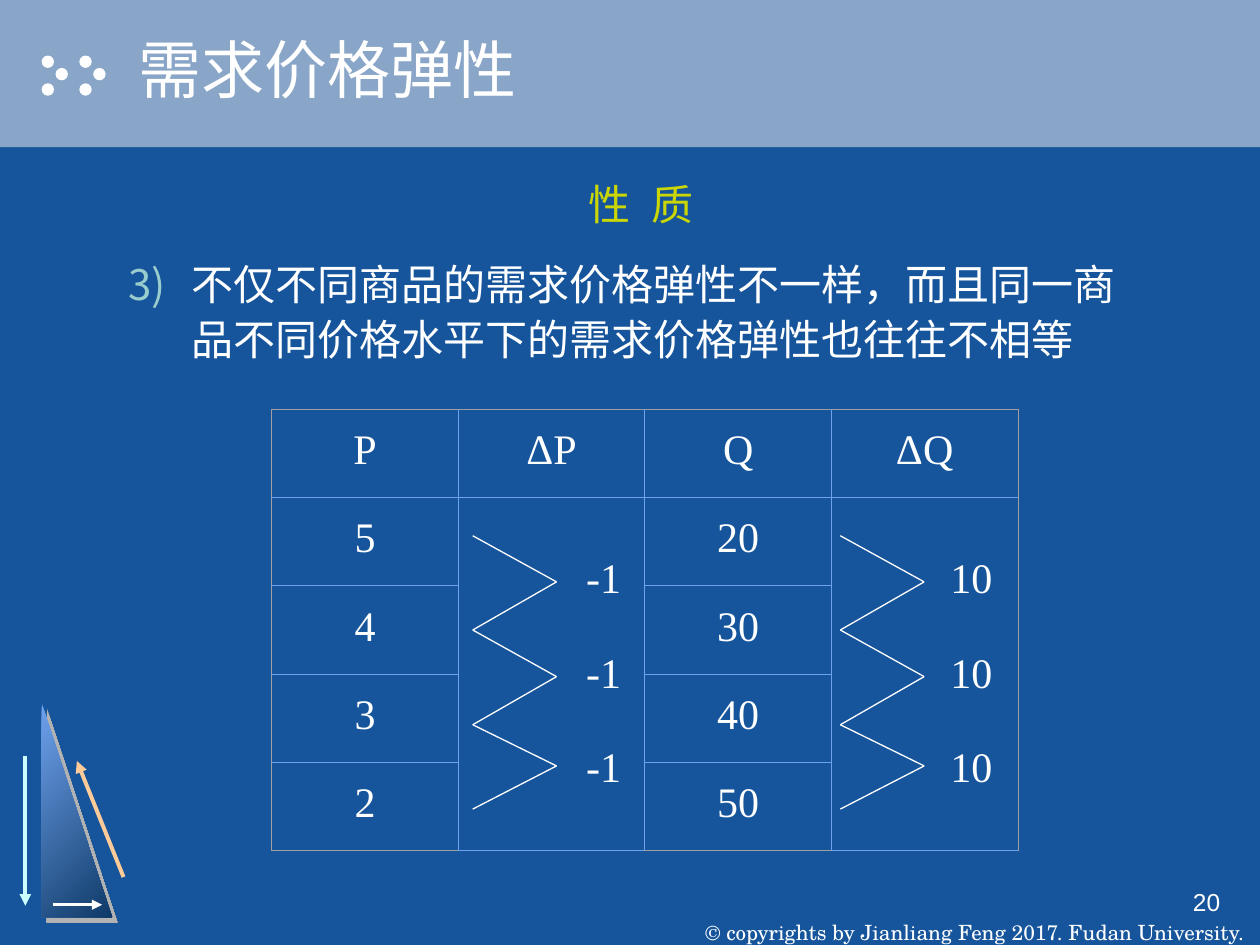
from itertools import pairwise

from lxml.etree import SubElement
from pptx import Presentation
from pptx.dml.color import RGBColor
from pptx.enum.lang import MSO_LANGUAGE_ID as Language
from pptx.enum.shapes import MSO_CONNECTOR as Connector, MSO_SHAPE as Shape
from pptx.enum.text import MSO_ANCHOR as Anchor, MSO_AUTO_SIZE as AutoSize, PP_ALIGN as Align
from pptx.oxml.ns import qn
from pptx.util import Cm, Pt

WHITE = "FFFFFF"
GRID_COLOR, FRAME_COLOR = "6FA2ED", "A0A0A0"
SERIF = "Times New Roman"
CHINESE = "Noto Sans CJK SC"


def rgb(value):
    return RGBColor.from_string(value)


def add_shadow(effects, color, distance):
    shadow = SubElement(effects, qn("a:outerShdw"), dist=str(Pt(distance)), dir="2700000",
                        algn="ctr", rotWithShape="0")
    SubElement(shadow, qn("a:srgbClr"), val=color)


def format_runs(paragraph, size, font_name, color=WHITE):
    for run in paragraph.runs:
        run.font.size, run.font.name = Pt(size), font_name
        run.font.color.rgb = rgb(color)


def format_chinese_runs(paragraph, size, font_name, color=WHITE):
    format_runs(paragraph, size, font_name, color)
    for run in paragraph.runs:
        run.font.language_id = Language.SIMPLIFIED_CHINESE
        properties = run._r.get_or_add_rPr()
        east_asian = SubElement(properties, qn("a:ea"), typeface=CHINESE)
        properties.find(qn("a:latin")).addnext(east_asian)


def set_list_indent(paragraph, number=None):
    """Hang the paragraph; give it an automatic number when one is passed."""
    properties = paragraph._p.get_or_add_pPr()
    properties.set("marL", str(Cm(1.27)))
    properties.set("indent", str(-Cm(1.27)))
    if number is None:
        SubElement(properties, qn("a:buNone"))
        return
    bullet_color = SubElement(properties, qn("a:buClr"))
    SubElement(bullet_color, qn("a:srgbClr"), val="99CCCC")
    SubElement(properties, qn("a:buFont"), typeface=CHINESE)
    SubElement(properties, qn("a:buAutoNum"), type="arabicParenR", startAt=str(number))


def set_borders(cell, colors):
    """Colours come in the order left, right, top, bottom."""
    properties = cell._tc.get_or_add_tcPr()
    for side, color in zip(("lnL", "lnR", "lnT", "lnB"), colors):
        line = SubElement(properties, qn(f"a:{side}"), w=str(Pt(0.5)))
        fill = SubElement(line, qn("a:solidFill"))
        SubElement(fill, qn("a:srgbClr"), val=color)


class SlideBuilder:
    """Holds the current slide and its shared style."""

    def __init__(self, presentation, background):
        self.slide = presentation.slides.add_slide(presentation.slide_layouts[1])
        self.shapes = self.slide.shapes
        fill = self.slide.background.fill
        fill.solid()
        fill.fore_color.rgb = rgb(background)

    def shape(self, kind, left, top, width, height, color):
        shape = self.shapes.add_shape(kind, Cm(left), Cm(top), Cm(width), Cm(height))
        shape.shadow.inherit = False
        shape.fill.solid()
        shape.fill.fore_color.rgb = rgb(color)
        shape.line.fill.background()
        return shape

    def line(self, start, end, color=WHITE, width=0.75, arrow=False):
        connector = self.shapes.add_connector(Connector.STRAIGHT, *map(Cm, start + end))
        connector.line.color.rgb = rgb(color)
        connector.line.width = Pt(width)
        if arrow:
            SubElement(connector.line._get_or_add_ln(), qn("a:tailEnd"), type="triangle")
        SubElement(connector._element.spPr, qn("a:effectLst"))

    def text(self, text, left, top, width, height, size, font_name, align=Align.CENTER):
        box = self.shapes.add_textbox(Cm(left), Cm(top), Cm(width), Cm(height))
        frame = box.text_frame
        frame.text = text
        frame.word_wrap = True
        frame.paragraphs[0].alignment = align
        format_runs(frame.paragraphs[0], size, font_name)
        return frame

    def placeholder(self, index, text, left, top, width, height, anchor):
        """Fill and place a placeholder, in front of what is drawn so far."""
        shape = self.slide.placeholders[index]
        shape.left, shape.top, shape.width, shape.height = map(Cm, (left, top, width, height))
        self.shapes._spTree.append(shape._element)
        frame = shape.text_frame
        frame.text = text
        frame.auto_size = AutoSize.NONE
        frame.word_wrap = True
        frame.vertical_anchor = anchor
        return frame.paragraphs

    def title(self, text, *place):
        paragraph = self.placeholder(0, text, *place, Anchor.MIDDLE)[0]
        paragraph.alignment = Align.LEFT
        format_chinese_runs(paragraph, 36, CHINESE)
        properties = paragraph.runs[0]._r.get_or_add_rPr()
        effects = SubElement(properties, qn("a:effectLst"))
        properties.find(qn("a:solidFill")).addnext(effects)
        add_shadow(effects, "000000", 2)

    def body(self, heading, item, number, *place):
        first, second = self.placeholder(1, f"{heading}\n{item}", *place, Anchor.TOP)
        set_list_indent(first)
        set_list_indent(second, number)
        first.alignment, second.alignment = Align.CENTER, Align.LEFT
        first.space_before, second.space_before = Pt(0), Pt(13.5)
        for paragraph, color in ((first, "CAD704"), (second, WHITE)):
            paragraph.line_spacing = 1.1
            format_chinese_runs(paragraph, 24, "Arial", color)
        first.runs[0]._r.get_or_add_rPr().set("spc", "330")

    def table(self, rows, left, top, column_width, row_height, merged_columns):
        row_count, column_count = len(rows), len(rows[0])
        table = self.shapes.add_table(
            row_count, column_count, Cm(left), Cm(top),
            Cm(column_width * column_count), Cm(row_height * row_count)).table
        table.first_row = table.horz_banding = False
        for column in table.columns:
            column.width = Cm(column_width)
        for r, row in enumerate(rows):
            for c, value in enumerate(row):
                cell = table.cell(r, c)
                edges = (c == 0, c == column_count - 1, r == 0, r == row_count - 1)
                set_borders(cell, [FRAME_COLOR if edge else GRID_COLOR for edge in edges])
                cell.fill.background()
                cell.vertical_anchor = Anchor.MIDDLE
                cell.text_frame.text = value
                paragraph = cell.text_frame.paragraphs[0]
                paragraph.alignment = Align.CENTER
                paragraph.line_spacing = 0.8
                format_runs(paragraph, 24, SERIF)
        for c in merged_columns:
            table.cell(1, c).merge(table.cell(row_count - 1, c))

    def differences(self, left, label):
        """Zigzag between the table rows, with the change beside each tip."""
        heights = (10.8, 11.73, 12.7, 13.64, 14.61, 15.44, 16.31)
        points = [(left + 1.69 * (i % 2), y) for i, y in enumerate(heights)]
        for start, end in pairwise(points):
            self.line(start, end)
        for i in range(3):
            self.text(label, left + 1.37, 11 + 1.9 * i, 2.54, 1.27, 24, SERIF)


def main():
    presentation = Presentation()
    presentation.slide_width, presentation.slide_height = Cm(25.4), Cm(19.05)
    builder = SlideBuilder(presentation, "16559B")

    builder.shape(Shape.RECTANGLE, 0, 0, 25.4, 2.97, "89A5C7")
    for group_left in (0.84, 1.6):
        for dx, top in ((0, 1.12), (0.28, 1.37), (0, 1.68)):
            builder.shape(Shape.OVAL, group_left + dx, top, 0.25, 0.25, WHITE)

    triangle = builder.shape(Shape.RIGHT_TRIANGLE, 0.84, 14.17, 1.42, 4.32, "6FA2ED")
    triangle.fill.gradient()
    triangle.fill.gradient_angle = 315
    for stop, color, position in zip(triangle.fill.gradient_stops, ("6FA2ED", "0F3A68"), (0, 1)):
        stop.color.rgb = rgb(color)
        stop.position = position
    add_shadow(triangle._element.spPr.find(qn("a:effectLst")), "B2B2B2", 4.2)
    builder.line((0.51, 15.24), (0.51, 18.26), "CCFFFF", 2.25, arrow=True)
    builder.line((2.49, 17.68), (1.55, 15.34), "FFCC99", 2.25, arrow=True)
    builder.line((1.07, 18.24), (2.06, 18.24), WHITE, 1.5, arrow=True)

    copyright_frame = builder.text("© copyrights by Jianliang Feng 2017. Fudan University.",
                                   13.84, 17.78, 11.63, 1.27, 12, "TeX Gyre Schola")
    copyright_frame.word_wrap = False
    copyright_frame.vertical_anchor = Anchor.BOTTOM
    copyright_frame.margin_top = copyright_frame.margin_bottom = 0

    builder.title("需求价格弹性", 2.54, 0, 22.86, 2.74)
    builder.body("性 质", "不仅不同商品的需求价格弹性不一样，而且同一商品不同价格水平下的需求价格弹性也往往不相等",
                 3, 2.34, 3.38, 21.16, 4.45)

    rows = [("P", "ΔP", "Q", "ΔQ"), ("5", "", "20", ""), ("4", "", "30", ""),
            ("3", "", "40", ""), ("2", "", "50", "")]
    builder.table(rows, 5.48, 8.25, 3.76, 1.78, merged_columns=(1, 3))
    builder.differences(9.53, "-1")
    builder.differences(16.94, "10")
    builder.text("20", 19.69, 17.75, 5.16, 1.27, 14, "Arial", Align.RIGHT)
    presentation.save("out.pptx")


if __name__ == "__main__":
    main()
